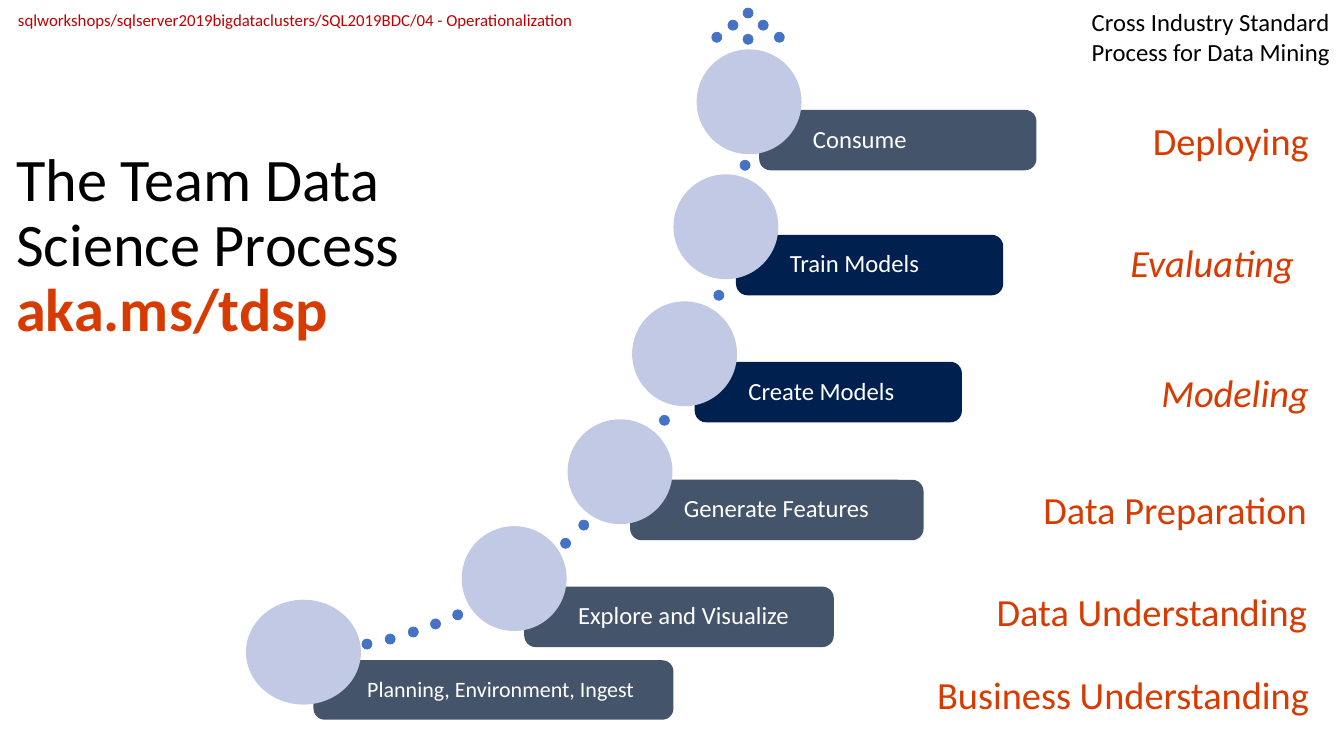
from pptx import Presentation
from pptx.dml.color import RGBColor
from pptx.enum.shapes import MSO_SHAPE
from pptx.enum.text import MSO_ANCHOR, MSO_AUTO_SIZE, PP_ALIGN
from pptx.util import Emu, Pt

OVAL, ROUNDED = MSO_SHAPE.OVAL, MSO_SHAPE.ROUNDED_RECTANGLE
TOP, MIDDLE = MSO_ANCHOR.TOP, MSO_ANCHOR.MIDDLE
LEFT, RIGHT = PP_ALIGN.LEFT, PP_ALIGN.RIGHT
NO_FIT = MSO_AUTO_SIZE.NONE
TITLE_ONLY = 5
FONT = "Calibri"
EMU_PER_PX = 9144

COLORS = {
    "black": "000000",
    "white": "FFFFFF",
    "orange": "D83B01",
    "red": "C00000",
    "dot": "4472C4",
    "circle": "C1C9E4",
    "slate": "44546A",
    "navy": "002050",
}

STAGES = [
    ("Planning, Environment, Ingest", "slate", (311, 655, 357, 59), 15.7, 114,
     "Business Understanding", (868, 662, 439, 60), RIGHT, False),
    ("Explore and Visualize", "slate", (520, 582, 307, 60), 17.6, 104,
     "Data Understanding", (895, 579, 410, 60), RIGHT, False),
    ("Generate Features", "slate", (625, 476, 291, 60), 17.6, 104,
     "Data Preparation", (934, 476, 371, 65), RIGHT, False),
    ("Create Models", "navy", (689, 359, 265, 60), 17.6, 104,
     "Modeling", (1032, 362, 275, 60), RIGHT, True),
    ("Train Models", "navy", (730, 233, 265, 60), 17.6, 104,
     "Evaluating", (1097, 230, 245, 65), LEFT, True),
    ("Consume", "slate", (753, 109, 275, 60), 17.6, 104,
     "Deploying", (1020, 112, 287, 59), RIGHT, False),
]

TRAIL_DOTS = [
    (449, 605), (427, 614), (405, 622), (382, 629), (359, 634),
    (574, 516), (556, 534), (654, 412), (708, 288), (734, 159),
]
ARROW_DOTS = [(0, 24), (16, 12), (31, 0), (46, 12), (62, 24), (31, 26)]


def px(*lengths):
    return [Emu(length * EMU_PER_PX) for length in lengths]


def color(name):
    return RGBColor.from_string(COLORS[name])


def write(shape, text, size, color_name, insets, anchor=TOP, align=LEFT,
          spacing=1.0, italic=False):
    frame = shape.text_frame
    frame.auto_size = NO_FIT
    frame.word_wrap = True
    frame.vertical_anchor = anchor
    (frame.margin_left, frame.margin_top,
     frame.margin_right, frame.margin_bottom) = px(*insets)
    frame.text = text
    paragraph = frame.paragraphs[0]
    paragraph.alignment = align
    paragraph.line_spacing = spacing
    for run in paragraph.runs:
        run.font.name = FONT
        run.font.size = Pt(size)
        run.font.italic = italic
        run.font.color.rgb = color(color_name)
    return paragraph


def add_filled(slide, preset, box, fill):
    shape = slide.shapes.add_shape(preset, *px(*box))
    shape.shadow.inherit = False
    shape.fill.solid()
    shape.fill.fore_color.rgb = color(fill)
    shape.line.fill.background()
    return shape


def add_text(slide, box, *args, **options):
    return write(slide.shapes.add_textbox(*px(*box)), *args, **options)


def add_title(slide, box):
    title = slide.shapes.title
    title.left, title.top, title.width, title.height = px(*box)
    paragraph = write(title, "The Team Data Science Process\vaka.ms/tdsp", 43.1,
                      "black", (16, 10, 16, 10), spacing=0.9)
    link = paragraph.runs[-1]
    link.font.bold = True
    link.font.color.rgb = color("orange")


def add_dots(slide, origin, offsets):
    for x, y in offsets:
        dot = add_filled(slide, OVAL, (origin[0] + x, origin[1] + y, 10, 10), "dot")
        dot.line.color.rgb = color("dot")
        dot.line.width = Pt(0.5)


def add_stage(slide, name, fill, box, size, circle_width, phase, phase_box,
              align, italic):
    left, top = box[:2]
    bar = add_filled(slide, ROUNDED, box, fill)
    bar.adjustments[0] = 0.19
    write(bar, name, size, "white", (50, 10, 10, 10), MIDDLE, spacing=0.9)
    add_text(slide, phase_box, phase, 27.4, "orange", (24, 9, 9, 9), MIDDLE,
             align, 0.9, italic)
    circle_left = left - 10 - circle_width // 2
    add_filled(slide, OVAL, (circle_left, top - 60, circle_width, 104), "circle")


def add_captions(slide):
    insets = (10, 5, 10, 5)
    add_text(slide, (1073, 2, 260, 70),
             "Cross Industry Standard Process for Data Mining", 17.6, "black", insets)
    add_text(slide, (8, 5, 642, 30),
             "sqlworkshops/sqlserver2019bigdataclusters/SQL2019BDC/04 - Operationalization",
             12, "red", insets)


def main():
    presentation = Presentation()
    presentation.slide_width, presentation.slide_height = px(1333, 750)
    slide = presentation.slides.add_slide(presentation.slide_layouts[TITLE_ONLY])
    add_title(slide, (0, 138, 509, 336))
    add_dots(slide, (0, 0), TRAIL_DOTS)
    add_dots(slide, (706, 8), ARROW_DOTS)
    for stage in STAGES:
        add_stage(slide, *stage)
    add_captions(slide)
    presentation.save("out.pptx")


if __name__ == "__main__":
    main()
